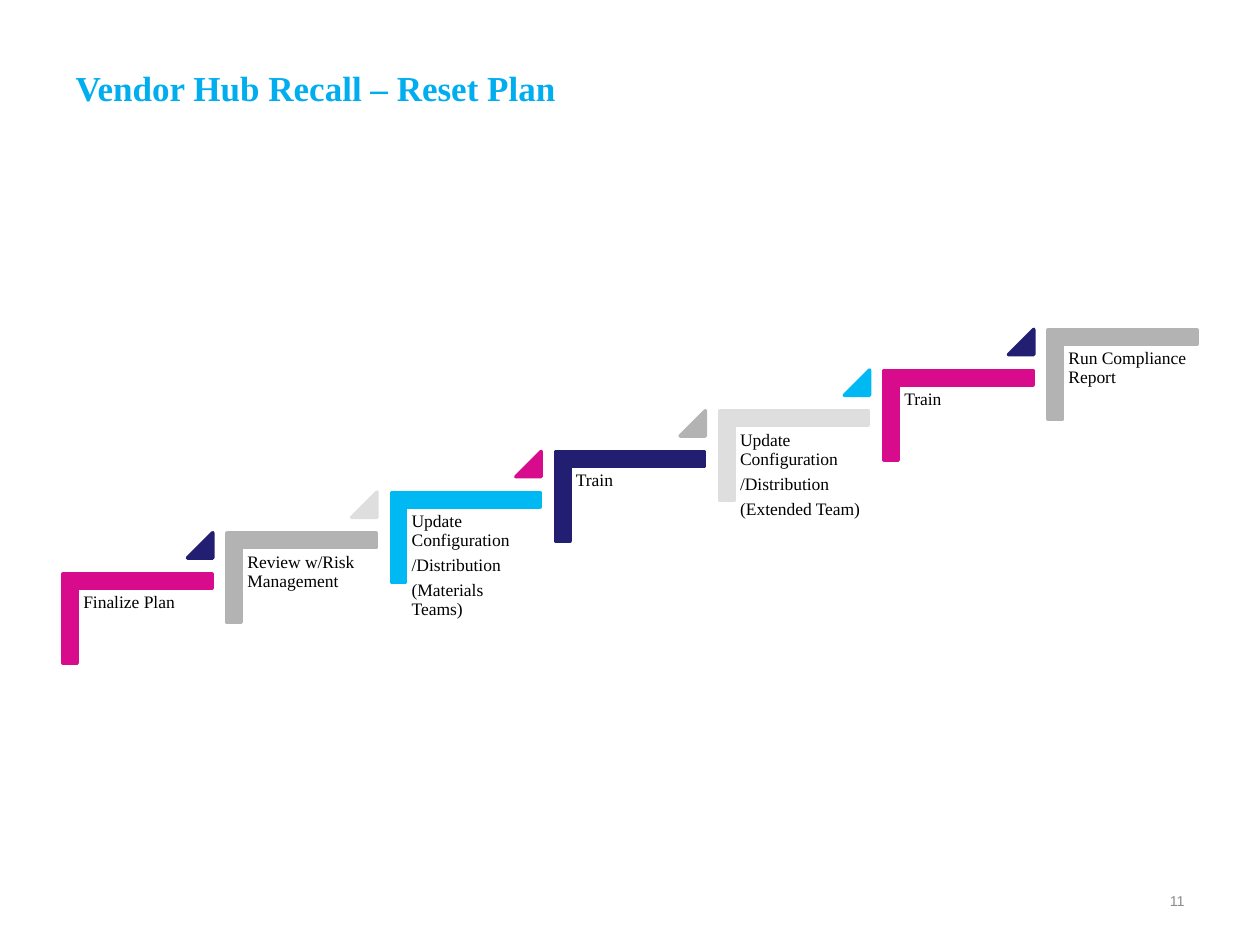
from pptx import Presentation
from pptx.dml.color import RGBColor
from pptx.enum.shapes import MSO_SHAPE
from pptx.enum.text import MSO_ANCHOR, PP_ALIGN, MSO_AUTO_SIZE
from pptx.util import Cm, Pt

PINK, NAVY, CYAN = "D80B8C", "221F72", "00B9F2"
GREY, PALE = "B2B3B2", "DDDEDD"
SERIF, SANS = "Times New Roman", "Arial"

# Each step: corner colour, colour of the triangle after it, lines
STEPS = [
    (PINK, NAVY, ["Finalize Plan"]),
    (GREY, PALE, ["Review w/Risk Management"]),
    (CYAN, PINK, ["Update Configuration", "/Distribution", "(Materials Teams)"]),
    (NAVY, GREY, ["Train"]),
    (PALE, CYAN, ["Update Configuration", "/Distribution", "(Extended Team)"]),
    (PINK, NAVY, ["Train"]),
    (GREY, None, ["Run Compliance Report"]),
]
RUN, RISE = 3.31, 0.82


def color(code):
    return RGBColor.from_string(code)


class Deck:
    def __init__(self):
        self.prs = Presentation()
        self.prs.slide_width, self.prs.slide_height = Cm(25.4), Cm(19.05)
        self.slide = self.prs.slides.add_slide(self.prs.slide_layouts[5])

    def font(self, para, size, code, name=SERIF, bold=False):
        font = para.font
        font.size, font.name, font.bold = Pt(size), name, bold
        font.color.rgb = color(code)

    def title(self, text, x, y, w, h):
        box = self.slide.shapes.title
        box.left, box.top, box.width, box.height = Cm(x), Cm(y), Cm(w), Cm(h)
        frame = box.text_frame
        frame.text = text
        frame.auto_size = MSO_AUTO_SIZE.NONE
        frame.vertical_anchor = MSO_ANCHOR.TOP
        para = frame.paragraphs[0]
        para.alignment = PP_ALIGN.LEFT
        self.font(para, 20, "00AEEF", bold=True)

    def text(self, x, y, w, h):
        box = self.slide.shapes.add_textbox(Cm(x), Cm(y), Cm(w), Cm(h))
        box.text_frame.word_wrap = True
        return box.text_frame

    def label(self, lines, x, y, w, h):
        frame = self.text(x, y, w, h)
        frame.margin_left = frame.margin_right = Cm(0.1)
        frame.margin_top = frame.margin_bottom = Cm(0.1)
        frame.text = "\n".join(lines)
        for para in frame.paragraphs:
            para.line_spacing = 0.9
            para.space_after = Pt(3.5)
            self.font(para, 10, "000000")

    def number(self, text, x, y, w, h):
        frame = self.text(x, y, w, h)
        frame.vertical_anchor = MSO_ANCHOR.MIDDLE
        frame.text = text
        para = frame.paragraphs[0]
        para.alignment = PP_ALIGN.RIGHT
        self.font(para, 8.2, "8C8C8C", SANS)

    def shape(self, kind, code, x, y, w, h, adjust, turn=0):
        item = self.slide.shapes.add_shape(kind, Cm(x), Cm(y), Cm(w), Cm(h))
        item.shadow.inherit = False
        item.rotation = turn
        for i, value in enumerate(adjust):
            item.adjustments[i] = value
        item.fill.solid()
        item.fill.fore_color.rgb = color(code)
        item.line.color.rgb = color(code)
        item.line.width = Pt(2)


def main():
    deck = Deck()
    deck.title("Vendor Hub Recall – Reset Plan", 1.27, 1.22, 22.86, 1.73)
    deck.number("11", 18.21, 17.65, 5.92, 1.02)

    # Staircase, rising from left to right
    for i, (fill, next_fill, lines) in enumerate(STEPS):
        dx, dy = i * RUN, i * RISE
        deck.shape(MSO_SHAPE.CORNER, fill, 1.87 + dx, 10.97 - dy,
                   1.8, 3, [0.16, 0.16], 90)
        deck.label(lines, 1.58 + dx, 11.87 - dy, 2.7, 2.36)
        if next_fill:
            deck.shape(MSO_SHAPE.ISOSCELES_TRIANGLE, next_fill,
                       3.78 + dx, 10.74 - dy, 0.51, 0.51, [1])

    deck.prs.save("out.pptx")


if __name__ == "__main__":
    main()
